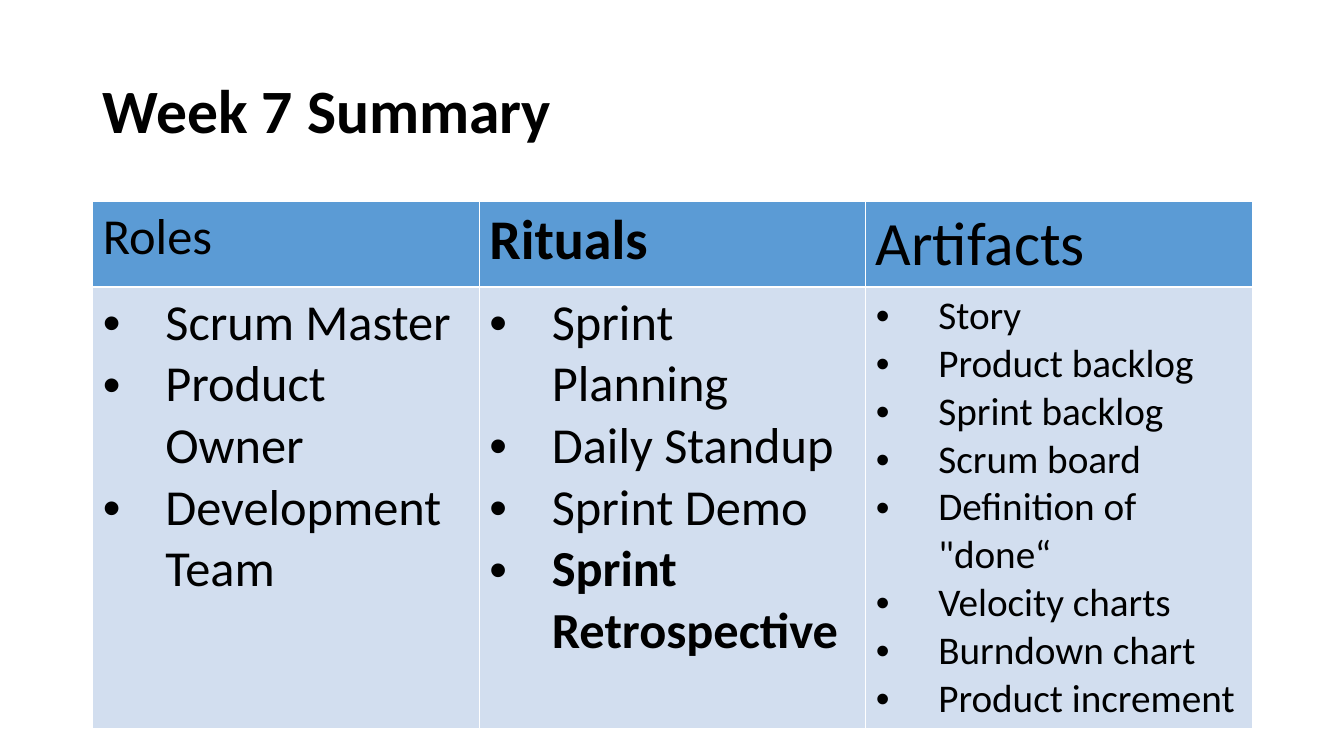
from lxml.etree import SubElement
from pptx import Presentation
from pptx.dml.color import RGBColor
from pptx.enum.text import MSO_ANCHOR, PP_ALIGN
from pptx.oxml import parse_xml
from pptx.oxml.ns import nsdecls, qn
from pptx.util import Inches, Pt

FONT = "Calibri"
COLORS = {"text": "000000", "header": "5B9BD5", "body": "D2DEEF", "border": "FFFFFF"}
WIDTH, HEIGHT = Inches(13.33), Inches(7.5)
MARGIN = Inches(0.92)
CONTENT_WIDTH = Inches(11.5)
ROW_HEIGHTS = (Inches(0.8), Inches(4.33))
BULLET_INDENT = Inches(0.62)
COLUMNS = [
    {"heading": "Roles", "heading_size": 36, "heading_bold": False, "size": 36,
     "items": ["Scrum Master", "Product Owner", "Development Team"], "bold_items": []},
    {"heading": "Rituals", "heading_size": 40, "heading_bold": True, "size": 36,
     "items": ["Sprint Planning", "Daily Standup", "Sprint Demo", "Sprint Retrospective"],
     "bold_items": ["Sprint Retrospective"]},
    {"heading": "Artifacts", "heading_size": 44, "heading_bold": False, "size": 28,
     "items": ["Story", "Product backlog", "Sprint backlog", "Scrum board",
               'Definition of "done\u201c', "Velocity charts", "Burndown chart",
               "Product increment"],
     "bold_items": []},
]


def format_runs(paragraph, size, bold):
    for run in paragraph.runs:
        run.font.name = FONT
        run.font.size = Pt(size)
        run.font.bold = bold
        run.font.color.rgb = RGBColor.from_string(COLORS["text"])


def add_bullet(paragraph):
    properties = paragraph._p.get_or_add_pPr()
    properties.set("marL", str(BULLET_INDENT))
    properties.set("indent", str(-BULLET_INDENT))
    SubElement(properties, qn("a:buFont")).set("typeface", "Arial")
    SubElement(properties, qn("a:buChar")).set("char", "\u2022")


def style_cell(cell, fill):
    cell.fill.solid()
    cell.fill.fore_color.rgb = RGBColor.from_string(COLORS[fill])
    properties = cell._tc.get_or_add_tcPr()
    for position, side in enumerate("LRTB"):
        border = parse_xml(
            f'<a:ln{side} {nsdecls("a")} w="{Pt(1)}"><a:solidFill>'
            f'<a:srgbClr val="{COLORS["border"]}"/></a:solidFill></a:ln{side}>')
        properties.insert(position, border)


def fill_heading(cell, column):
    style_cell(cell, "header")
    cell.text_frame.text = column["heading"]
    format_runs(cell.text_frame.paragraphs[0], column["heading_size"], column["heading_bold"])


def fill_list(cell, column):
    style_cell(cell, "body")
    cell.text_frame.text = "\n".join(column["items"])
    for paragraph in cell.text_frame.paragraphs:
        add_bullet(paragraph)
        format_runs(paragraph, column["size"], paragraph.text in column["bold_items"])


def add_title(slide, text):
    title = slide.shapes.title
    title.left, title.top = MARGIN, Inches(0.4)
    title.width, title.height = CONTENT_WIDTH, Inches(1.45)
    title.text_frame.text = text
    title.text_frame.vertical_anchor = MSO_ANCHOR.MIDDLE
    paragraph = title.text_frame.paragraphs[0]
    paragraph.alignment = PP_ALIGN.LEFT
    paragraph.line_spacing = 0.9
    format_runs(paragraph, 44, True)


def add_summary_table(slide):
    table = slide.shapes.add_table(
        len(ROW_HEIGHTS), len(COLUMNS), MARGIN, Inches(2), CONTENT_WIDTH, sum(ROW_HEIGHTS)).table
    for row, height in zip(table.rows, ROW_HEIGHTS):
        row.height = height
    for index, column in enumerate(COLUMNS):
        fill_heading(table.cell(0, index), column)
        fill_list(table.cell(1, index), column)


def main():
    presentation = Presentation()
    presentation.slide_width, presentation.slide_height = WIDTH, HEIGHT
    slide = presentation.slides.add_slide(presentation.slide_layouts[5])
    add_title(slide, "Week 7 Summary")
    add_summary_table(slide)
    presentation.save("out.pptx")


main()
